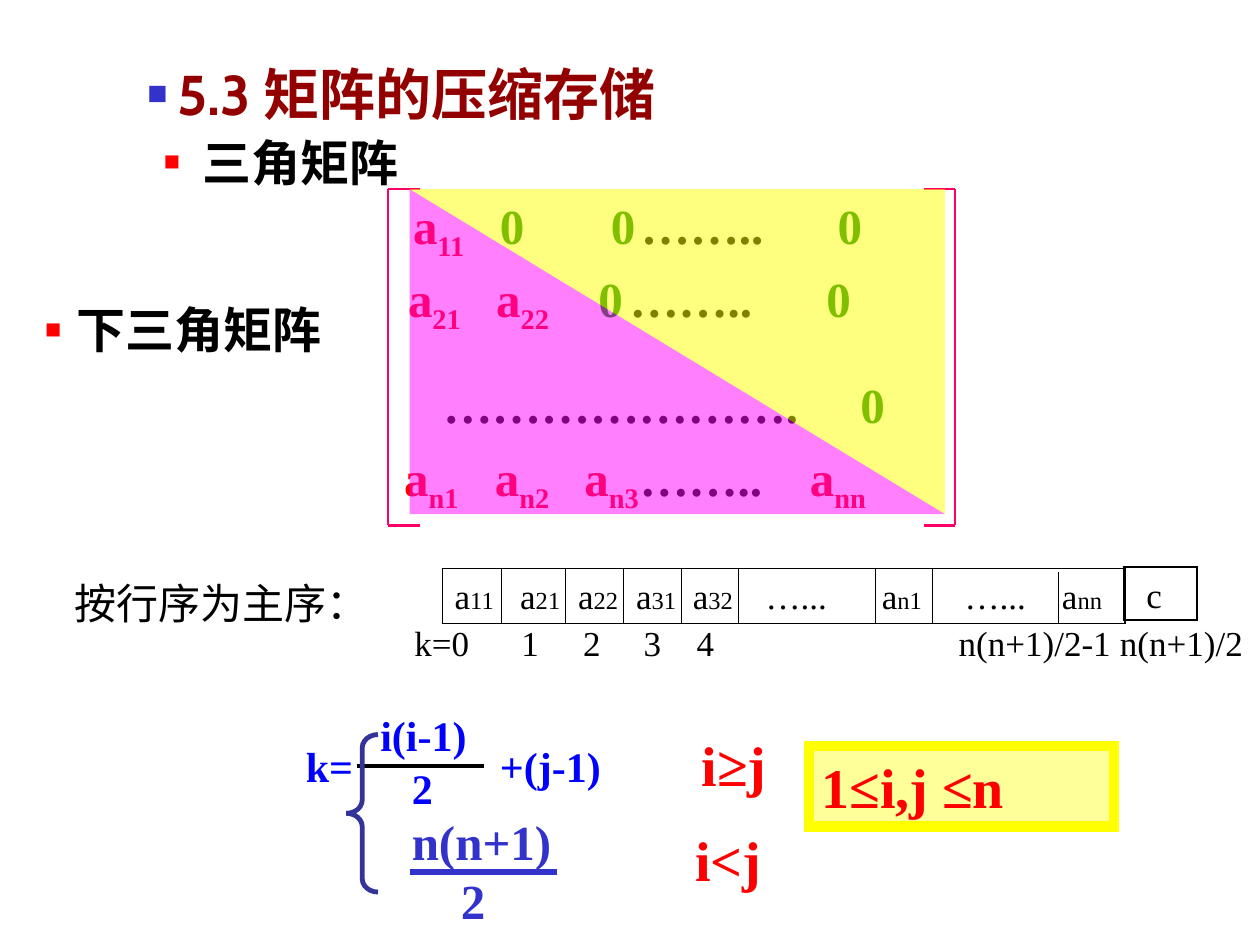
from lxml import etree
from pptx import Presentation
from pptx.dml.color import RGBColor as Rgb
from pptx.enum.shapes import MSO_CONNECTOR as Conn, MSO_SHAPE as Shape
from pptx.enum.text import MSO_ANCHOR as Anchor, MSO_AUTO_SIZE as Auto, PP_ALIGN as Align
from pptx.oxml.ns import qn
from pptx.util import Inches, Pt

HEX = {
    "black": "000000", "red": "FF0000", "green": "008000", "blue": "0000FF",
    "maroon": "920000", "indigo": "3333CC", "navy": "333399", "rose": "FF0066",
    "pink": "FF00FF", "yellow": "FFFF00", "cream": "FFFF99",
}
SERIF, SANS = "Times New Roman", "Cabin"
INSET = 0.1


def rgb(name):
    return Rgb.from_string(HEX[name])


def style(run, size, color="black", bold=False, font=SERIF):
    run.font.size, run.font.bold, run.font.name = Pt(size), bold, font
    run.font.color.rgb = rgb(color)


def add_tabs(par, stops):
    """Set left tab stops, in inches from the text edge."""
    tabs = etree.SubElement(par._p.get_or_add_pPr(), qn("a:tabLst"))
    for stop in stops:
        etree.SubElement(tabs, qn("a:tab"), pos=str(Inches(stop)), algn="l")


def add_bullet(par, color, scale, margin, hang):
    props = par._p.get_or_add_pPr()
    props.set("marL", str(Inches(margin)))
    props.set("indent", str(-Inches(hang)))
    tint = etree.SubElement(props, qn("a:buClr"))
    etree.SubElement(tint, qn("a:srgbClr"), val=HEX[color])
    etree.SubElement(props, qn("a:buSzPct"), val=str(scale * 1000))
    etree.SubElement(props, qn("a:buFont"), typeface="Arial")
    etree.SubElement(props, qn("a:buChar"), char="■")


def add_box(slide, box, anchor=Anchor.TOP):
    frame = slide.shapes.add_textbox(*map(Inches, box)).text_frame
    frame.word_wrap, frame.vertical_anchor = True, anchor
    return frame


def add_label(slide, text, box, size, color="black", bold=False,
              align=Align.LEFT, anchor=Anchor.TOP):
    frame = add_box(slide, box, anchor)
    frame.text = text
    frame.paragraphs[0].alignment = align
    style(frame.paragraphs[0].runs[0], size, color, bold)


def add_tabbed(slide, texts, stops, box, size, color="black", bold=False):
    """Write texts on one line, each after the first at its own slide x."""
    par = add_box(slide, box).paragraphs[0]
    add_tabs(par, [stop - box[0] - INSET for stop in stops])
    par.text = "\t".join(texts)
    style(par.runs[0], size, color, bold)


def add_head(frame, text, size, color, bullet):
    """Fill a frame with one bold bulleted line; bullet: color, scale, margin, hang."""
    frame.word_wrap, frame.auto_size = True, Auto.NONE
    frame.vertical_anchor = Anchor.TOP
    frame.text = text
    par = frame.paragraphs[0]
    par.alignment, par.space_before = Align.LEFT, Pt(0)
    add_bullet(par, *bullet)
    style(par.runs[0], size, color, True, SANS)


def place(shape, box):
    shape.left, shape.top, shape.width, shape.height = map(Inches, box)


def add_line(slide, x1, y1, x2, y2, color="black", width=0.75):
    line = slide.shapes.add_connector(Conn.STRAIGHT, *map(Inches, (x1, y1, x2, y2)))
    line.line.color.rgb, line.line.width = rgb(color), Pt(width)
    etree.SubElement(line._element.spPr, qn("a:effectLst"))


def add_form(slide, kind, box, fill=None, line=None, width=0.75, alpha=None):
    form = slide.shapes.add_shape(kind, *map(Inches, box))
    form.shadow.inherit = False
    if fill:
        form.fill.solid()
        form.fill.fore_color.rgb = rgb(fill)
    else:
        form.fill.background()
    if alpha:
        tint = form._element.spPr.find(".//" + qn("a:srgbClr"))
        etree.SubElement(tint, qn("a:alpha"), val=str(alpha * 1000))
    if line:
        form.line.color.rgb, form.line.width = rgb(line), Pt(width)
        etree.SubElement(form._element.spPr.find(qn("a:ln")), qn("a:miter"), lim="800000")
    else:
        form.line.fill.background()
    return form


def add_row(slide, top, cells):
    """One matrix row: cells pair a slide x with an entry."""
    left = 2.17
    par = add_box(slide, (left, top, 5.83, 0.57)).paragraphs[0]
    add_tabs(par, [x - left - INSET for x, _ in cells])
    for x, entry in cells:
        run = par.add_run()
        if entry.startswith("a"):
            run.text = "\ta"
            style(run, 28, "red", True)
            sub = par.add_run()
            sub.text = entry[1:]
            style(sub, 28, "red", True)
            sub._r.get_or_add_rPr().set("baseline", "-25000")
        else:
            run.text = "\t" + entry
            style(run, 28, "green" if entry == "0" else "black", True)


def add_matrix(slide):
    dots = "…….."
    add_row(slide, 1.5, [(3.28, "a11"), (3.97, "0"), (4.85, "0"), (5.09, dots), (6.65, "0")])
    add_row(slide, 2.08, [(3.24, "a21"), (3.94, "a22"), (4.75, "0"), (5, dots), (6.56, "0")])
    add_row(slide, 3.5, [(3.21, "an1"), (3.93, "an2"), (4.64, "an3"), (5.08, dots), (6.43, "ann")])
    add_row(slide, 2.92, [(3.52, "…………………."), (6.83, "0")])
    # Brackets
    top, base = 1.5, 4.17
    for edge, tip in ((3.08, 3.33), (7.58, 7.33)):
        add_line(slide, edge, top, edge, base, "rose", 1.5)
        for y in (top, base):
            add_line(slide, edge, y, tip, y, "rose", 1.5)
    # Lower and upper halves
    for fill, turn in (("pink", 0), ("yellow", 180)):
        half = add_form(slide, Shape.RIGHT_TRIANGLE, (3.25, 1.5, 4.25, 2.58), fill, alpha=50)
        half.rotation = turn


def add_array(slide):
    left, top, base = 3.51, 4.51, 4.95
    bar = add_form(slide, Shape.RECTANGLE, (left, top, 5.42, base - top), line="black")
    frame = bar.text_frame
    frame.word_wrap, frame.vertical_anchor = True, Anchor.MIDDLE
    par = frame.paragraphs[0]
    par.alignment = Align.LEFT
    starts = (4.13, 4.59, 5.05, 5.5, 7, 8.43)
    add_tabs(par, [x - left - INSET for x in starts])
    for i, index in enumerate(("11", "21", "22", "31", "32", "n1", "nn")):
        for text, size in (("\ta" if i else "a", 20), (index, 14)):
            run = par.add_run()
            run.text = text
            style(run, size)
    for x in (3.98, 4.49, 4.95, 5.41, 5.86, 6.95, 7.4):
        add_line(slide, x, top, x, base)
    add_line(slide, 8.4, 4.54, 8.4, base)
    for x in (5.87, 7.45):
        add_label(slide, "…...", (x, top, 0.9, 0.44), 20,
                  align=Align.CENTER, anchor=Anchor.MIDDLE)
    add_tabbed(slide, ["k=0", "1", "2", "3", "4", "n(n+1)/2-1", "n(n+1)/2"],
               (4.14, 4.63, 5.11, 5.53, 7.61, 8.89), (3.19, 4.88, 6.81, 0.44), 20)
    add_label(slide, "按行序为主序：", (0.44, 4.53, 2.63, 0.5), 24,
              align=Align.CENTER, anchor=Anchor.MIDDLE)
    add_form(slide, Shape.RECTANGLE, (8.92, 4.5, 0.58, 0.42), line="black")
    add_label(slide, "c", (9, 4.5, 0.4, 0.44), 20)


def add_rule(slide):
    # First case
    add_tabbed(slide, ["k=", "+(j-1)"], [3.97], (2.33, 5.83, 2.83, 0.5), 24, "blue", True)
    add_label(slide, "i(i-1)", (2.92, 5.58, 0.95, 0.5), 24, "blue", True)
    add_label(slide, "2", (3.17, 6, 0.55, 0.5), 24, "blue", True)
    add_line(slide, 2.83, 6.08, 3.84, 6.08, width=2.25)
    add_label(slide, "i≥j", (5.47, 5.75, 0.9, 0.64), 32, "red", True)
    brace = add_form(slide, Shape.LEFT_BRACE, (2.75, 5.83, 0.25, 1.25), line="navy", width=2.75)
    brace.adjustments[0] = 0.42
    # Second case
    add_label(slide, "i<j", (5.42, 6.5, 0.9, 0.64), 32, "red", True)
    frame = add_box(slide, (3.17, 6.39, 1.4, 1.04))
    frame.text = "n(n+1)\n\t2"
    add_tabs(frame.paragraphs[1], [0.39])
    for par in frame.paragraphs:
        style(par.runs[0], 28, "indigo", True)
    add_line(slide, 3.25, 6.92, 4.42, 6.92, "indigo", 3)
    # Range of the indices
    note = add_form(slide, Shape.RECTANGLE, (6.42, 5.92, 2.42, 0.64), "cream", "yellow", 6)
    note.text_frame.text = "1≤i,j ≤n"
    note.text_frame.vertical_anchor = Anchor.TOP
    par = note.text_frame.paragraphs[0]
    par.alignment = Align.LEFT
    style(par.runs[0], 32, "red", True)


def main():
    deck = Presentation()
    deck.slide_width, deck.slide_height = Inches(10), Inches(7.5)
    slide = deck.slides.add_slide(deck.slide_layouts[1])
    # Headings
    title, body = slide.shapes.title, slide.placeholders[1]
    place(title, (1.07, 0.42, 4.8, 0.64))
    add_head(title.text_frame, "5.3 矩阵的压缩存储", 32, "maroon", ("indigo", 60, 0.24, 0.24))
    place(body, (0.7, 1, 9.3, 0.65))
    add_head(body.text_frame, "三角矩阵", 28, "black", ("red", 55, 0.81, 0.31))
    # Matrix, its array and the index rule
    add_matrix(slide)
    add_array(slide)
    add_rule(slide)
    side = add_box(slide, (0, 2.33, 2.8, 0.57))
    add_head(side, "下三角矩阵", 28, "black", ("red", 55, 0.51, 0.25))
    deck.save("out.pptx")


if __name__ == "__main__":
    main()
